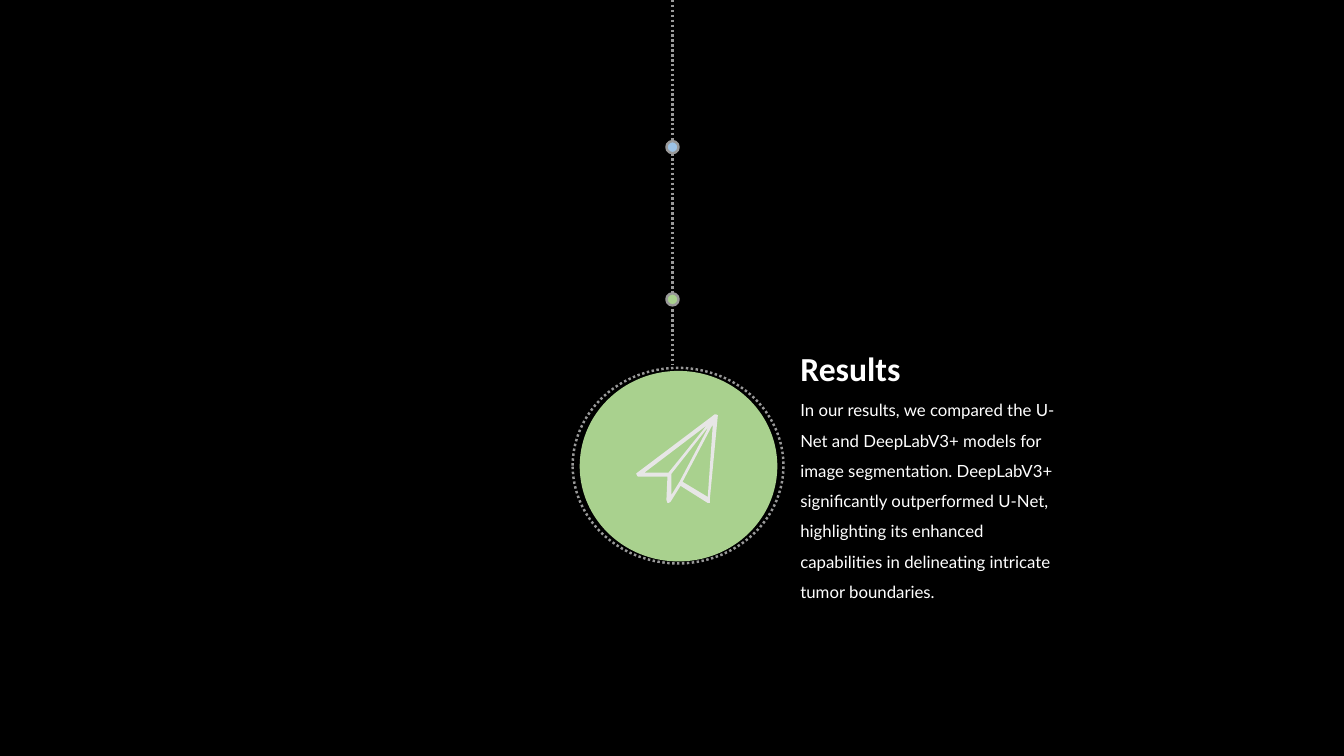
"""Build a dark timeline slide with a results milestone."""
import pptx
import pptx.dml.color
import pptx.enum.dml
import pptx.enum.shapes
import pptx.enum.text
import pptx.oxml
import pptx.util

Inches = pptx.util.Inches
Pt = pptx.util.Pt
RGBColor = pptx.dml.color.RGBColor

BLACK = RGBColor(0x00, 0x00, 0x00)
WHITE = RGBColor(0xFF, 0xFF, 0xFF)
GREY = RGBColor(0x99, 0x99, 0x99)
PALE = RGBColor(0xE7, 0xE6, 0xE6)
BLUE = RGBColor(0x9D, 0xC3, 0xE6)
GREEN = RGBColor(0xA9, 0xD1, 0x8E)

AXIS_X = 6.67
AXIS_SPANS = [(0, 1.42), (1.52, 2.93), (3.07, 3.62)]
MARKERS = [(1.4, BLUE), (2.91, GREEN)]
MARKER_SIZE = 0.12
TEXT_LEFT = 7.84
BODY = (
    "In our results, we compared the U-Net and DeepLabV3+ models for image "
    "segmentation. DeepLabV3+ significantly outperformed U-Net, highlighting its "
    "enhanced capabilities in delineating intricate tumor boundaries."
)
PLANE_HUNDREDTHS = [
    [(710, 411), (709, 411), (632, 469), (631, 470), (632, 472), (633, 473),
     (662, 473), (661, 496), (662, 499), (663, 499), (665, 498), (675, 482),
     (702, 499), (704, 499), (704, 496), (712, 412)],
    [(663, 469), (639, 469), (701, 422)],
    [(677, 478), (707, 421), (702, 493)],
    [(666, 491), (666, 470), (703, 423), (674, 478)],
]


class TimelineSlide:
    """Hold the slide style and add each kind of element."""

    def __init__(self, page):
        self.page = page
        self.line_width = Pt(1.75)
        page.background.fill.solid()
        page.background.fill.fore_color.rgb = BLACK

    def style_line(self, line, dotted):
        line.color.rgb = GREY
        line.width = self.line_width
        if dotted:
            line.dash_style = pptx.enum.dml.MSO_LINE.ROUND_DOT

    def axis(self, top, bottom):
        connector = self.page.shapes.add_connector(
            pptx.enum.shapes.MSO_CONNECTOR.STRAIGHT,
            Inches(AXIS_X), Inches(top), Inches(AXIS_X), Inches(bottom))
        self.style_line(connector.line, dotted=True)
        properties = connector.element.spPr
        properties.append(pptx.oxml.parse_xml(
            '<a:effectLst xmlns:a="http://schemas.openxmlformats.org/drawingml/2006/main"/>'))

    def ellipse(self, left, top, width, height, fill=None, outline=False, dotted=False):
        shape = self.page.shapes.add_shape(
            pptx.enum.shapes.MSO_SHAPE.OVAL,
            Inches(left), Inches(top), Inches(width), Inches(height))
        shape.shadow.inherit = False
        if fill is None:
            shape.fill.background()
        else:
            shape.fill.solid()
            shape.fill.fore_color.rgb = fill
        if outline:
            self.style_line(shape.line, dotted)
        else:
            shape.line.fill.background()

    def text(self, top, width, height, wording, font, size, bold=False, wrap=True, spacing=None):
        box = self.page.shapes.add_textbox(
            Inches(TEXT_LEFT), Inches(top), Inches(width), Inches(height))
        frame = box.text_frame
        frame.word_wrap = wrap
        frame.auto_size = pptx.enum.text.MSO_AUTO_SIZE.SHAPE_TO_FIT_TEXT
        para = frame.paragraphs[0]
        para.text = wording
        para.line_spacing = spacing
        para.font.name = font
        para.font.size = Pt(size)
        para.font.bold = bold
        para.font.color.rgb = WHITE

    def icon(self, contours, fill):
        outline, *holes = contours
        builder = self.page.shapes.build_freeform(*outline[0], scale=Inches(0.01))
        builder.add_line_segments(outline[1:])
        for hole in holes:
            builder.move_to(*hole[0])
            builder.add_line_segments(hole[1:])
        shape = builder.convert_to_shape()
        shape.shadow.inherit = False
        shape.fill.solid()
        shape.fill.fore_color.rgb = fill
        shape.line.fill.background()


def main():
    deck = pptx.Presentation()
    deck.slide_width = Inches(13.33)
    deck.slide_height = Inches(7.5)
    slide = TimelineSlide(deck.slides.add_slide(deck.slide_layouts[6]))

    for top, bottom in AXIS_SPANS:
        slide.axis(top, bottom)
    for top, color in MARKERS:
        slide.ellipse(AXIS_X - MARKER_SIZE / 2, top, MARKER_SIZE, MARKER_SIZE, color, outline=True)

    slide.text(3.4, 1.21, 0.5, "Results", "Calibri", 24, bold=True, wrap=False)
    slide.text(3.82, 2.86, 2.18, BODY, "Lato", 12, spacing=1.5)

    slide.ellipse(5.75, 3.68, 1.96, 1.89, GREEN)
    slide.icon(PLANE_HUNDREDTHS, PALE)
    slide.ellipse(5.68, 3.65, 2.09, 1.94, outline=True, dotted=True)
    deck.save("out.pptx")


if __name__ == "__main__":
    main()
